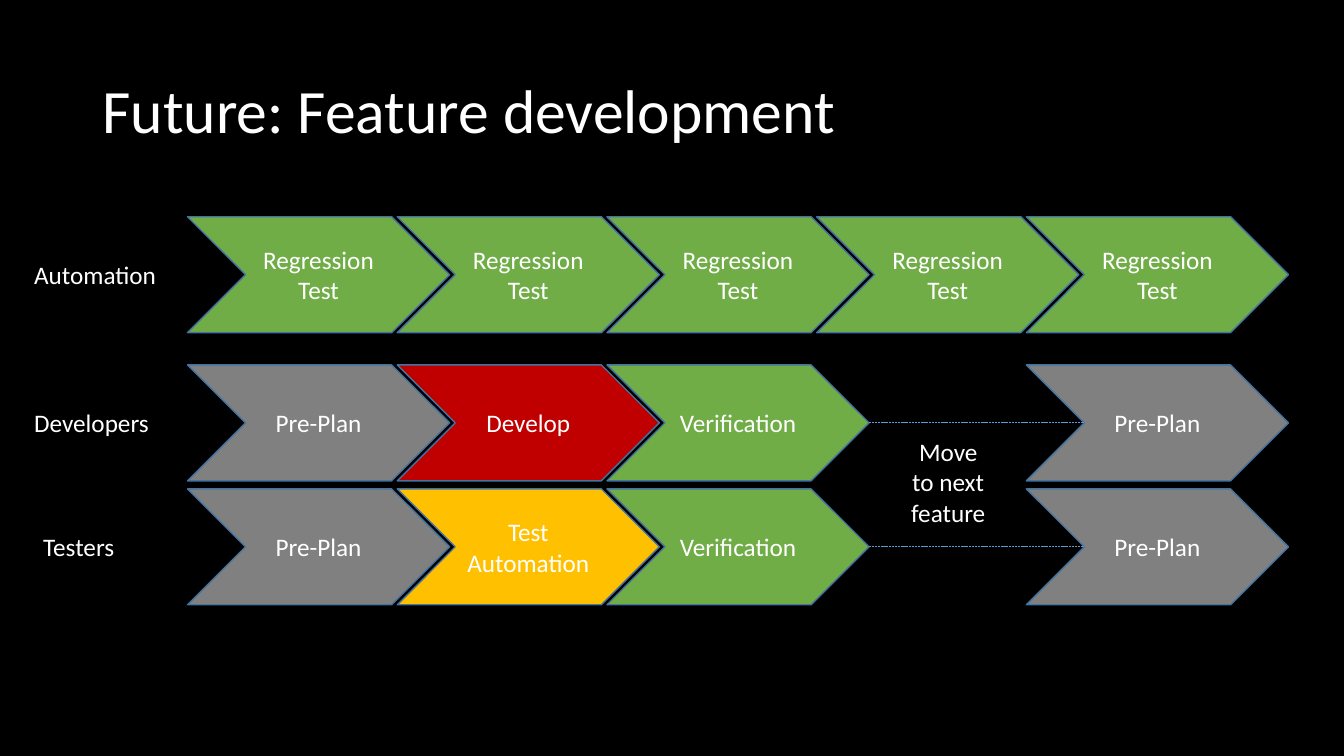
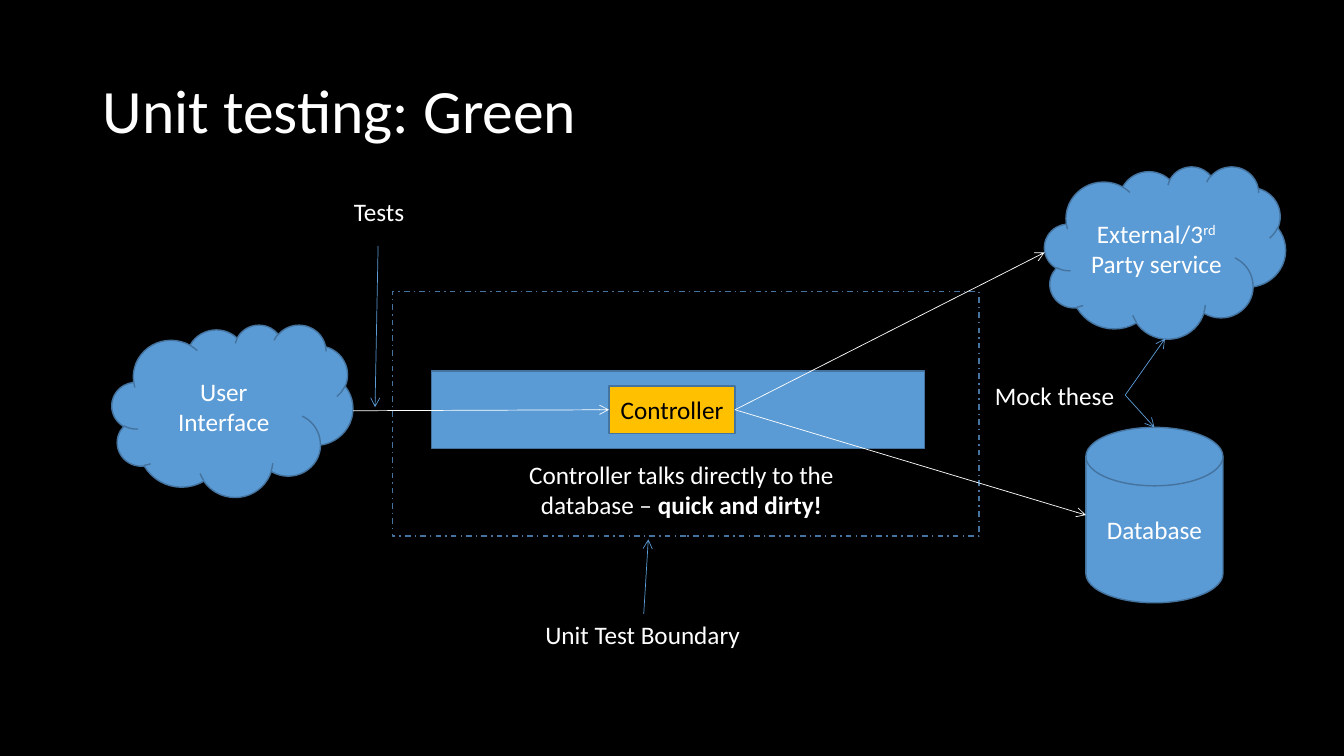
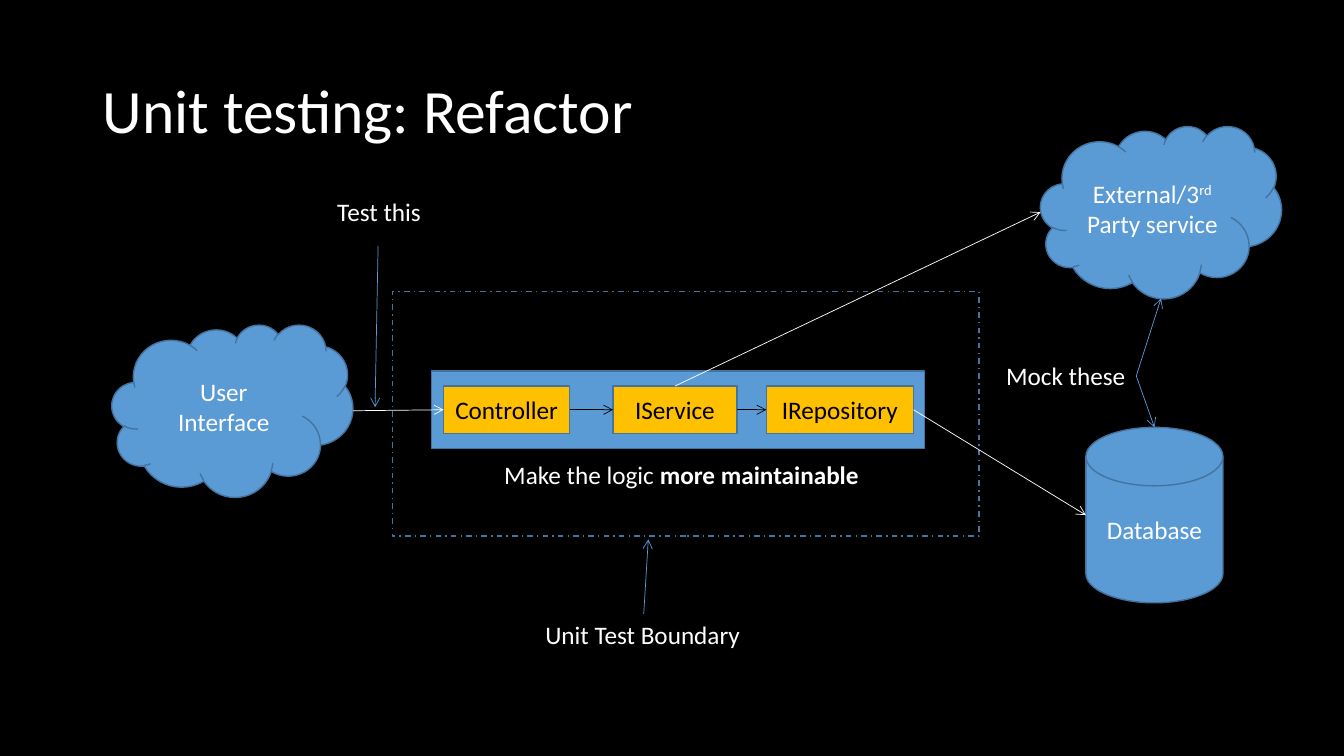
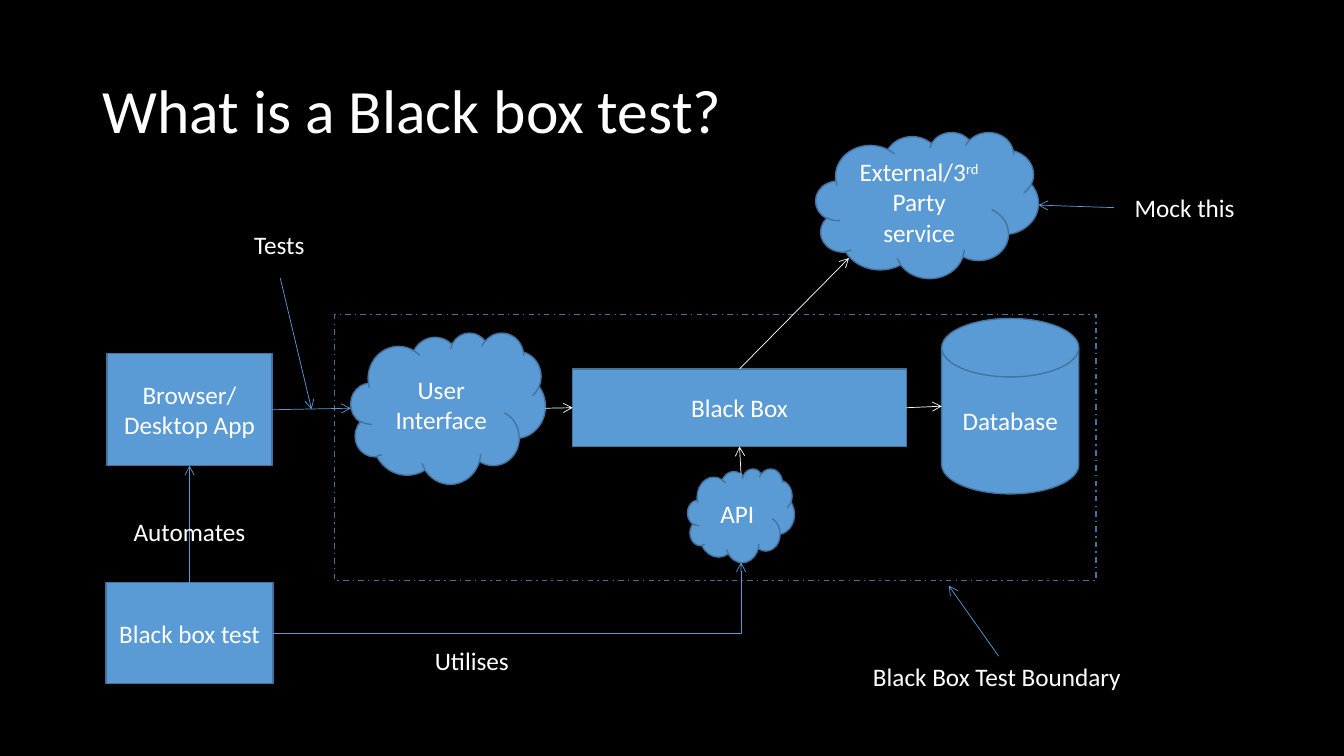
from lxml import etree
from pptx import Presentation
from pptx.dml.color import RGBColor
from pptx.enum import dml, shapes, text
from pptx.oxml import ns
from pptx.util import Inches, Pt

BLACK = RGBColor(0x00, 0x00, 0x00)
WHITE = RGBColor(0xFF, 0xFF, 0xFF)
BLUE = RGBColor(0x5B, 0x9B, 0xD5)
OUTLINE = RGBColor(0x43, 0x73, 0x9E)
AMBER = RGBColor(0xFF, 0xC0, 0x00)
GREEN = RGBColor(0x70, 0xAD, 0x47)
RED = RGBColor(0xC0, 0x00, 0x00)
GREY = RGBColor(0x80, 0x80, 0x80)

FONT = "Calibri"
KIND = shapes.MSO_SHAPE
CENTER = text.PP_ALIGN.CENTER
LEFT = text.PP_ALIGN.LEFT
TOP_SIDE, LEFT_SIDE, BOTTOM_SIDE, RIGHT_SIDE = range(4)
SIDE_SHARES = [(0.5, 0), (0, 0.5), (0.5, 1), (1, 0.5)]

EXTERNAL = ("External/3", "rd", " Party service")
CHEVRON_WIDTH, CHEVRON_HEIGHT, CHEVRON_PITCH = 2.6, 1.15, 2.08


def write(shape, spans, color=WHITE, size=18, align=CENTER, middle=True):
    """Fill a shape with one paragraph of spans and return its runs."""
    frame = shape.text_frame
    frame.word_wrap = True
    frame.vertical_anchor = text.MSO_ANCHOR.MIDDLE if middle else text.MSO_ANCHOR.TOP
    para = frame.paragraphs[0]
    para.alignment = align
    for words in spans:
        span = para.add_run()
        span.text = words
        span.font.name = FONT
        span.font.size = Pt(size)
        span.font.color.rgb = color
    return para.runs


class Panel:
    """A region of a page whose parts are placed from its top left corner."""

    def __init__(self, page, left, top):
        self.page, self.left, self.top = page, left, top

    def point(self, x, y):
        """Turn panel inches into page lengths."""
        return Inches(self.left + x), Inches(self.top + y)

    def shape(self, kind, box, words="", fill=BLUE, color=WHITE):
        """Draw a filled preset shape with centred words."""
        x, y, width, height = box
        shape = self.page.shapes.add_shape(
            kind, *self.point(x, y), Inches(width), Inches(height))
        shape.shadow.inherit = False
        shape.fill.solid()
        shape.fill.fore_color.rgb = fill
        shape.line.color.rgb = OUTLINE
        shape.line.width = Pt(1)
        if words:
            write(shape, [words], color)
        return shape

    def boundary(self, width, height):
        """Draw the dashed outline of what is tested."""
        frame = self.shape(KIND.RECTANGLE, (0, 0, width, height))
        frame.fill.background()
        frame.line.dash_style = dml.MSO_LINE.DASH_DOT

    def external(self, box):
        """Draw the cloud of the outside service."""
        cloud = self.shape(KIND.CLOUD, box)
        ordinal = write(cloud, EXTERNAL)[1]
        ordinal.font._element.set("baseline", "30000")
        return cloud

    def database(self, x, y):
        """Draw the database drum."""
        return self.shape(KIND.FLOWCHART_MAGNETIC_DISK, (x, y, 1.36, 1.74), "Database")

    def label(self, x, y, width, *spans, align=CENTER, height=0.4):
        """Write a label; a second span is bold."""
        box = self.page.shapes.add_textbox(
            *self.point(x, y), Inches(width), Inches(height))
        for span in write(box, spans, align=align, middle=False)[1:]:
            span.font.bold = True
        box.text_frame.word_wrap = align == CENTER
        return box

    def end(self, target):
        """Find the page point of a side of a shape or of a panel point."""
        owner, place = target
        if isinstance(owner, (int, float)):
            return self.point(owner, place)
        across, down = SIDE_SHARES[place]
        return (int(owner.left + owner.width * across),
                int(owner.top + owner.height * down))

    def line(self, start, finish, color=BLUE, arrow=True, bent=False):
        """Draw a thin connector and join it to rectangles it touches."""
        kind = shapes.MSO_CONNECTOR.ELBOW if bent else shapes.MSO_CONNECTOR.STRAIGHT
        line = self.page.shapes.add_connector(kind, *self.end(start), *self.end(finish))
        line.line.color.rgb = color
        line.line.width = Pt(0.5)
        properties = line._element.spPr
        if arrow:
            etree.SubElement(line.line._get_or_add_ln(), ns.qn("a:tailEnd"), type="arrow")
        else:
            line.line.dash_style = dml.MSO_LINE.SQUARE_DOT
        etree.SubElement(properties, ns.qn("a:effectLst"))
        if bent:
            properties.find(ns.qn("a:prstGeom")).set("prst", "bentConnector2")
            return
        for (owner, side), join in ((start, line.begin_connect), (finish, line.end_connect)):
            if is_rectangle(owner):
                join(owner, side)


def is_rectangle(owner):
    """Tell whether a line end is a text box or a rectangle."""
    if isinstance(owner, (int, float)):
        return False
    return (owner.shape_type == shapes.MSO_SHAPE_TYPE.TEXT_BOX
            or owner.auto_shape_type == KIND.RECTANGLE)


def add_page(deck, title):
    """Add a blank page with its title."""
    page = deck.slides.add_slide(deck.slide_layouts[6])
    box = page.shapes.add_textbox(Inches(0.92), Inches(0.4), Inches(11.5), Inches(1.45))
    write(box, [title], size=44, align=LEFT)
    box.text_frame.paragraphs[0].line_spacing = 0.9
    return page


def draw_lane(panel, name, name_left, name_width, steps):
    """Draw a lane of chevrons, keyed by column, with its name on the left."""
    panel.label(name_left, 0.37, name_width, name, align=LEFT)
    return {
        column: panel.shape(
            KIND.CHEVRON,
            (column * CHEVRON_PITCH, 0, CHEVRON_WIDTH, CHEVRON_HEIGHT), words, fill)
        for column, (words, fill) in steps.items()
    }


def draw_feature_page(deck):
    """Draw the lanes of feature development."""
    page = add_page(deck, "Future: Feature development")
    plan, check = ("Pre-Plan", GREY), ("Verification", GREEN)
    draw_lane(Panel(page, 1.86, 2.15), "Automation", -1.62, 1.42,
              dict.fromkeys(range(5), ("Regression Test", GREEN)))
    lanes = [
        (3.62, "Developers", -1.62, 1.35, ("Develop", RED)),
        (4.85, "Testers", -1.53, 0.91, ("Test Automation", AMBER)),
    ]
    for top, name, name_left, name_width, work in lanes:
        panel = Panel(page, 1.86, top)
        steps = draw_lane(panel, name, name_left, name_width,
                          {0: plan, 1: work, 2: check, 4: plan})
        notch = 4 * CHEVRON_PITCH + CHEVRON_HEIGHT / 2
        panel.line((steps[2], RIGHT_SIDE), (notch, CHEVRON_HEIGHT / 2), arrow=False)
    Panel(page, 8.89, 4.28).label(0, 0, 1.03, "Move to next feature", height=1.01)


def draw_unit_page(deck, title, tests, caption, parts, caller, external_at, mock_at):
    """Draw a unit test boundary; caller is the part and side that calls outside."""
    panel = Panel(add_page(deck, title), 3.89, 2.89)
    panel.shape(KIND.RECTANGLE, (0.39, 0.79, 4.89, 0.77))
    units = [panel.shape(KIND.RECTANGLE, (x, 0.94, width, 0.47), words, AMBER, BLACK)
             for words, x, width in parts]
    interface = panel.shape(KIND.CLOUD, (-2.78, 0.33, 2.39, 1.71), "User Interface")
    panel.boundary(5.82, 2.43)
    database = panel.database(6.88, 1.35)
    external = panel.external((*external_at, 2.39, 1.71))
    mock = panel.label(*mock_at, 1.4, "Mock these")
    panel.label(-0.83, -0.99, 1.4, tests)
    panel.label(0.99, 1.62, 3.76, *caption)
    limit = panel.label(1.42, 3.2, 2.15, "Unit Test Boundary", align=LEFT)

    panel.line((interface, RIGHT_SIDE), (units[0], LEFT_SIDE), WHITE)
    for before, after in zip(units, units[1:]):
        panel.line((before, RIGHT_SIDE), (after, LEFT_SIDE), BLACK)
    part, side = caller
    panel.line((units[part], side), (external, LEFT_SIDE), WHITE)
    panel.line((units[-1], RIGHT_SIDE), (database, LEFT_SIDE), WHITE)
    panel.line((mock, RIGHT_SIDE), (external, BOTTOM_SIDE))
    panel.line((mock, RIGHT_SIDE), (database, TOP_SIDE))
    panel.line((-0.14, -0.45), (-0.17, 1.15))
    panel.line((limit, TOP_SIDE), (2.54, 2.46))


def draw_black_box_page(deck):
    """Draw the black box test and what it reaches."""
    panel = Panel(add_page(deck, "What is a Black box test?"), 3.32, 3.12)
    system = panel.shape(KIND.RECTANGLE, (2.36, 0.54, 3.31, 0.77), "Black Box")
    interface = panel.shape(KIND.CLOUD, (0.16, 0.18, 1.93, 1.5), "User Interface")
    panel.boundary(7.55, 2.64)
    database = panel.database(6.02, 0.04)
    external = panel.external((4.77, -1.81, 2.21, 1.45))
    api = panel.shape(KIND.CLOUD, (3.5, 1.53, 1.06, 0.93), "API")
    browser = panel.shape(KIND.RECTANGLE, (-2.26, 0.39, 1.64, 1.11), "Browser/ Desktop App")
    test = panel.shape(KIND.RECTANGLE, (-2.27, 2.66, 1.66, 1), "Black box test")
    mock = panel.label(7.73, -1.26, 1.4, "Mock this")
    limit = panel.label(5.24, 3.39, 2.69, "Black Box Test Boundary", align=LEFT)
    panel.label(-1.25, -0.89, 1.4, "Tests")

    panel.line((interface, RIGHT_SIDE), (system, LEFT_SIDE), WHITE)
    panel.line((system, RIGHT_SIDE), (database, LEFT_SIDE), WHITE)
    panel.line((system, TOP_SIDE), (5.1, -0.56), WHITE)
    panel.line((4.03, 1.59), (system, BOTTOM_SIDE), WHITE)
    panel.line((mock, LEFT_SIDE), (external, RIGHT_SIDE))
    panel.line((limit, TOP_SIDE), (6.09, 2.69))
    panel.line((-0.54, -0.36), (-0.23, 0.94))
    panel.line((browser, RIGHT_SIDE), (interface, LEFT_SIDE))
    panel.line((test, TOP_SIDE), (browser, BOTTOM_SIDE))
    panel.line((test, RIGHT_SIDE), (api, BOTTOM_SIDE), bent=True)
    panel.label(-2.32, 1.95, 1.76, "Automates")
    panel.label(0.48, 3.23, 1.76, "Utilises")


def main():
    """Build and save the deck."""
    deck = Presentation()
    deck.slide_width, deck.slide_height = Inches(13.33), Inches(7.5)
    backdrop = deck.slide_master.background.fill
    backdrop.solid()
    backdrop.fore_color.rgb = BLACK
    draw_feature_page(deck)
    draw_unit_page(
        deck, "Unit testing: Green", "Tests",
        ("Controller talks directly to the database – ", "quick and dirty!"),
        [("Controller", 2.15, 1.25)], (0, RIGHT_SIDE), (6.47, -1.24), (5.87, 0.83))
    draw_unit_page(
        deck, "Unit testing: Refactor", "Test this",
        ("Make the logic ", "more maintainable"),
        [("Controller", 0.51, 1.25), ("IService", 2.19, 1.23), ("IRepository", 3.71, 1.46)],
        (1, TOP_SIDE), (6.43, -1.64), (5.98, 0.64))
    draw_black_box_page(deck)
    deck.save("out.pptx")


if __name__ == "__main__":
    main()
